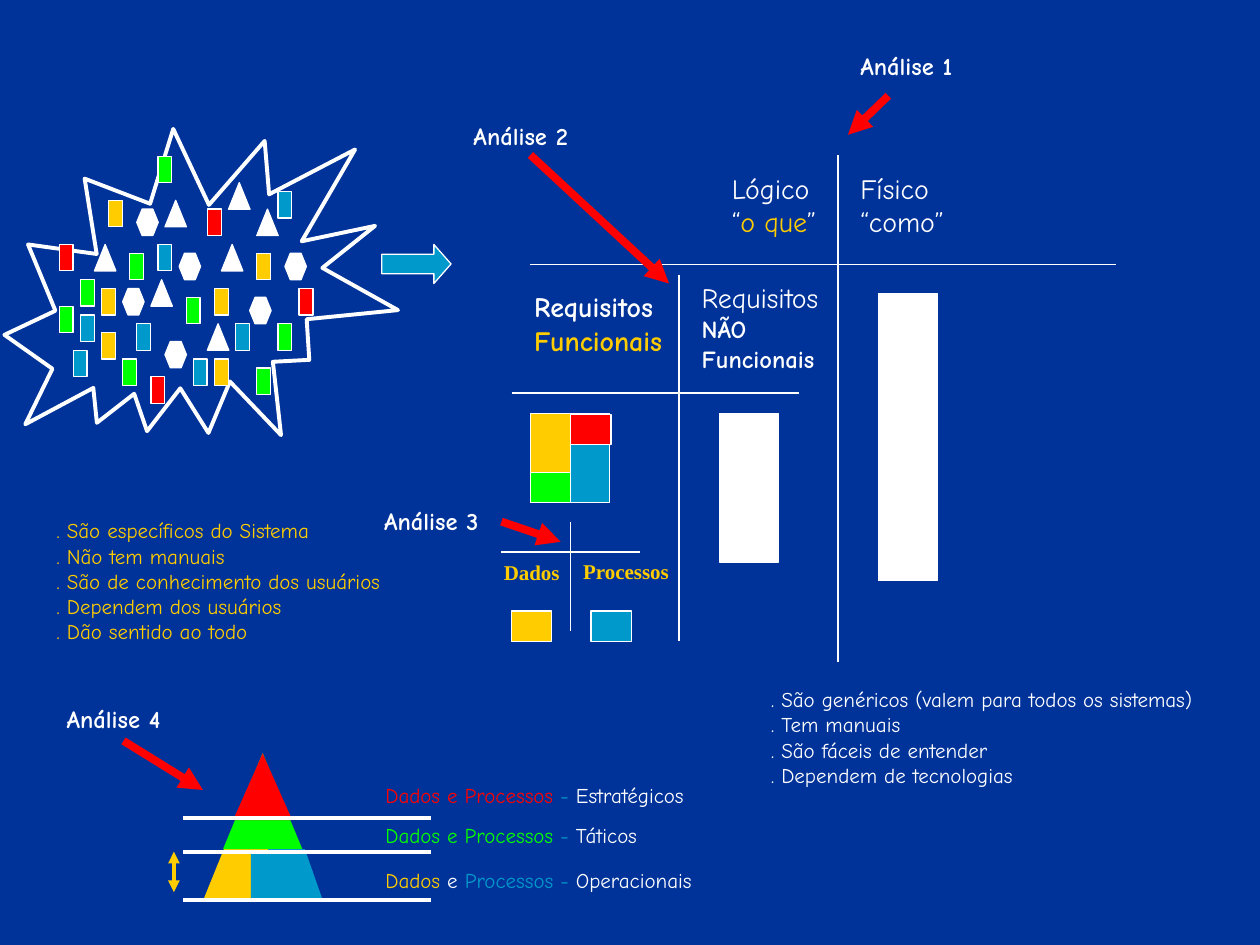
from lxml import etree
from pptx import Presentation
from pptx import util as u
from pptx.dml.color import RGBColor
from pptx.enum import shapes, text
from pptx.oxml import ns

NAVY = RGBColor(0x00, 0x33, 0x99)
WHITE = RGBColor(0xFF, 0xFF, 0xFF)
YELLOW = RGBColor(0xFF, 0xCC, 0x00)
GREEN = RGBColor(0x00, 0xFF, 0x00)
RED = RGBColor(0xFF, 0x00, 0x00)
BLUE = RGBColor(0x00, 0x99, 0xCC)
COMIC, TIMES = "Comic Neue", "Times New Roman"
KIND = shapes.MSO_SHAPE

presentation = Presentation()
presentation.slide_width, presentation.slide_height = u.Inches(10), u.Inches(7.5)
CELL = presentation.slide_width / 100  # grid of 100 columns by 75 rows

slide = presentation.slides.add_slide(presentation.slide_layouts[3])
slide.background.fill.solid()
slide.background.fill.fore_color.rgb = NAVY
title, *lists = slide.placeholders
title.element.getparent().remove(title.element)


def cells(*counts):
    return [u.Emu(round(count * CELL)) for count in counts]


def add_shape(kind, color, box, outline=0.75):
    """Add a preset shape; no color means no fill, no outline means no line."""
    shape = slide.shapes.add_shape(kind, *cells(*box))
    shape.shadow.inherit = False
    if color is None:
        shape.fill.background()
    else:
        shape.fill.solid()
        shape.fill.fore_color.rgb = color
    if outline:
        shape.line.color.rgb = WHITE
        shape.line.width = u.Pt(outline)
    else:
        shape.line.fill.background()
    return shape


# Lists
list_contents = [
    ((60.2, 54, 38.6, 9), WHITE,
     [". São genéricos (valem para todos os sistemas)", ". Tem manuais",
      ". São fáceis de entender", ". Dependem de tecnologias"]),
    ((3.5, 40.6, 31.5, 11), YELLOW,
     [". São específicos do Sistema", ". Não tem manuais",
      ". São de conhecimento dos usuários", ". Dependem dos usuários",
      ". Dão sentido ao todo"]),
]
for body, (box, color, items) in zip(lists, list_contents):
    body.left, body.top, body.width, body.height = cells(*box)
    frame = body.text_frame
    frame.text = "\n".join(items)
    frame.auto_size = text.MSO_AUTO_SIZE.NONE
    for paragraph in frame.paragraphs:
        paragraph.space_before = u.Pt(0)
        paragraph.font.name = COMIC
        paragraph.font.size = u.Pt(12)
        paragraph.font.color.rgb = color
        properties = paragraph._p.get_or_add_pPr()
        properties.set("marL", "0")
        properties.set("indent", "0")
        no_bullet = etree.Element(ns.qn("a:buNone"))
        properties.find(ns.qn("a:defRPr")).addprevious(no_bullet)

# Boxes: requirement columns, mixed block, data and process keys
for color, box in [
    (WHITE, (57.1, 32.8, 4.7, 11.8)),
    (WHITE, (69.7, 23.3, 4.7, 22.8)),
    (YELLOW, (42.1, 32.8, 3.2, 7.1)),
    (BLUE, (45.3, 32.8, 3.1, 7.1)),
    (RED, (45.3, 32.9, 3.2, 2.4)),
    (GREEN, (42.1, 37.5, 3.2, 2.4)),
    (YELLOW, (40.6, 48.5, 3.2, 2.4)),
    (BLUE, (46.9, 48.5, 3.2, 2.4)),
]:
    add_shape(KIND.RECTANGLE, color, box)
add_shape(KIND.RIGHT_ARROW, BLUE, (30.3, 19.4, 5.5, 3.1)).adjustments[1] = 0.44

# Pyramid
for color, width, height in [(YELLOW, 9.4, 11.6), (GREEN, 6.3, 7.6), (RED, 4.7, 5.3)]:
    add_shape(KIND.ISOSCELES_TRIANGLE, color,
              (20.85 - width / 2, 59.8, width, height), outline=0)
builder = slide.shapes.build_freeform(*cells(25.6, 71.4))
builder.add_line_segments([cells(*point) for point in [(19.9, 71.4), (21.3, 67.4), (24.2, 67.4)]])
processes = builder.convert_to_shape()
processes.shadow.inherit = False
processes.fill.solid()
processes.fill.fore_color.rgb = BLUE
processes.line.fill.background()
add_shape(KIND.RECTANGLE, BLUE, (19.9, 67.6, 1.9, 3.8), outline=0)

# Burst holding loose requirements, placed on a fine grid of (column, row)
add_shape(KIND.EXPLOSION2, None, (2, 7.6, 28.4, 31.5), outline=2.25).rotation = 27.8
for kind, color, width, places in [
    (KIND.RECTANGLE, BLUE, 1.1,
     [(31, 4), (19, 23), (14, 10), (25, 19), (2, 22), (3, 18), (11, 19)]),
    (KIND.RECTANGLE, YELLOW, 1.1,
     [(7, 5), (6, 15), (22, 23), (6, 20), (22, 15), (28, 11)]),
    (KIND.RECTANGLE, GREEN, 1.1,
     [(3, 14), (10, 11), (9, 23), (31, 19), (14, 0), (28, 24), (0, 17), (18, 16)]),
    (KIND.RECTANGLE, RED, 1.1, [(0, 10), (34, 15), (21, 6), (13, 25)]),
    (KIND.ISOSCELES_TRIANGLE, WHITE, 1.7,
     [(24, 3), (23, 10), (5, 10), (21, 19), (28, 6), (13, 14), (15, 5)]),
    (KIND.HEXAGON, WHITE, 1.7,
     [(32, 11), (17, 11), (11, 6), (27, 16), (15, 21), (9, 15)]),
]:
    for column, row in places:
        add_shape(kind, color, (4.7 + column * 0.56, 12.4 + row * 0.7, width, 2.1))

# Dividers and arrows: color, width, arrowheads, begin and end
for color, width, heads, ends in [
    (WHITE, 0.75, [], (66.5, 12.3, 66.5, 52.5)),
    (WHITE, 0.75, [], (42.1, 21, 88.6, 21)),
    (WHITE, 0.75, [], (53.9, 21.8, 53.9, 50.9)),
    (WHITE, 0.75, [], (40.6, 31.2, 63.4, 31.2)),
    (WHITE, 0.75, [], (50.8, 43.8, 39.8, 43.8)),
    (WHITE, 0.75, [], (45.3, 41.4, 45.3, 50.1)),
    (WHITE, 2.25, [], (14.5, 64.9, 34.2, 64.9)),
    (WHITE, 2.25, [], (14.5, 67.6, 34.2, 67.6)),
    (WHITE, 2.25, [], (14.5, 71.4, 34.2, 71.4)),
    (YELLOW, 2.25, ["a:headEnd", "a:tailEnd"], (13.8, 67.6, 13.8, 70.8)),
    (RED, 4.5, ["a:tailEnd"], (70.5, 7.6, 67.3, 10.7)),
    (RED, 4.5, ["a:tailEnd"], (42.1, 12.3, 53.1, 22.5)),
    (RED, 4.5, ["a:tailEnd"], (39.8, 41.4, 44.5, 43)),
    (RED, 4.5, ["a:tailEnd"], (9.8, 58.8, 16.1, 62.7)),
]:
    line = slide.shapes.add_connector(shapes.MSO_CONNECTOR.STRAIGHT, *cells(*ends))
    line.line.color.rgb = color
    line.line.width = u.Pt(width)
    for head in heads:
        etree.SubElement(line.line._get_or_add_ln(), ns.qn(head), type="triangle")
    etree.SubElement(line._element.spPr, ns.qn("a:effectLst"))

# Labels: box, font, size, bold, then paragraphs of (words, color, size and bold if different)
labels = [
    ((57.1, 13.1, 11, 6.4), COMIC, 16, False,
     [[("Lógico", WHITE)], [("“", WHITE), ("o que", YELLOW), ("”", WHITE)]]),
    ((67.3, 13.1, 11, 6.4), COMIC, 16, False, [[("Físico", WHITE)], [("“como”", WHITE)]]),
    ((41.4, 22.5, 13.4, 6.4), COMIC, 16, True,
     [[("Requisitos ", WHITE), ("Funcionais", YELLOW)]]),
    ((54.7, 21.8, 13.4, 8.4), COMIC, 16, False,
     [[("Requisitos ", WHITE), ("NÃO Funcionais", WHITE, 14, True)]]),
    ((29.6, 61.6, 29.9, 3), COMIC, 12, False,
     [[("Dados e Processos", RED), (" - ", BLUE), ("Estratégicos", WHITE)]]),
    ((29.6, 64.8, 29.9, 3), COMIC, 12, False,
     [[("Dados e Processos", GREEN), (" - ", BLUE), ("Táticos", WHITE)]]),
    ((29.6, 68.4, 29.9, 3), COMIC, 12, False,
     [[("Dados", YELLOW), (" e ", WHITE), ("Processos - ", BLUE), ("Operacionais", WHITE)]]),
    ((39, 43.9, 9.4, 3), TIMES, 12, True, [[("Dados", YELLOW)]]),
    ((45.3, 43.8, 9.4, 3), TIMES, 12, True, [[("Processos", YELLOW)]]),
]
for number, (left, top) in enumerate([(67.3, 3.6), (36.6, 9.1), (29.5, 39.7), (4.3, 55.4)], 1):
    labels.append(((left, top, 11, 3.4), COMIC, 14, True, [[(f"Análise {number}", WHITE)]]))

for box, font_name, size, bold, paragraphs in labels:
    frame = slide.shapes.add_textbox(*cells(*box)).text_frame
    frame.word_wrap = True
    for index, runs in enumerate(paragraphs):
        paragraph = frame.add_paragraph() if index else frame.paragraphs[0]
        paragraph.font.name = font_name
        paragraph.font.size = u.Pt(size)
        paragraph.font.bold = bold
        for words, color, *different in runs:
            run = paragraph.add_run()
            run.text = words
            run.font.color.rgb = color
            if different:
                run.font.size, run.font.bold = u.Pt(different[0]), different[1]

presentation.save("out.pptx")
